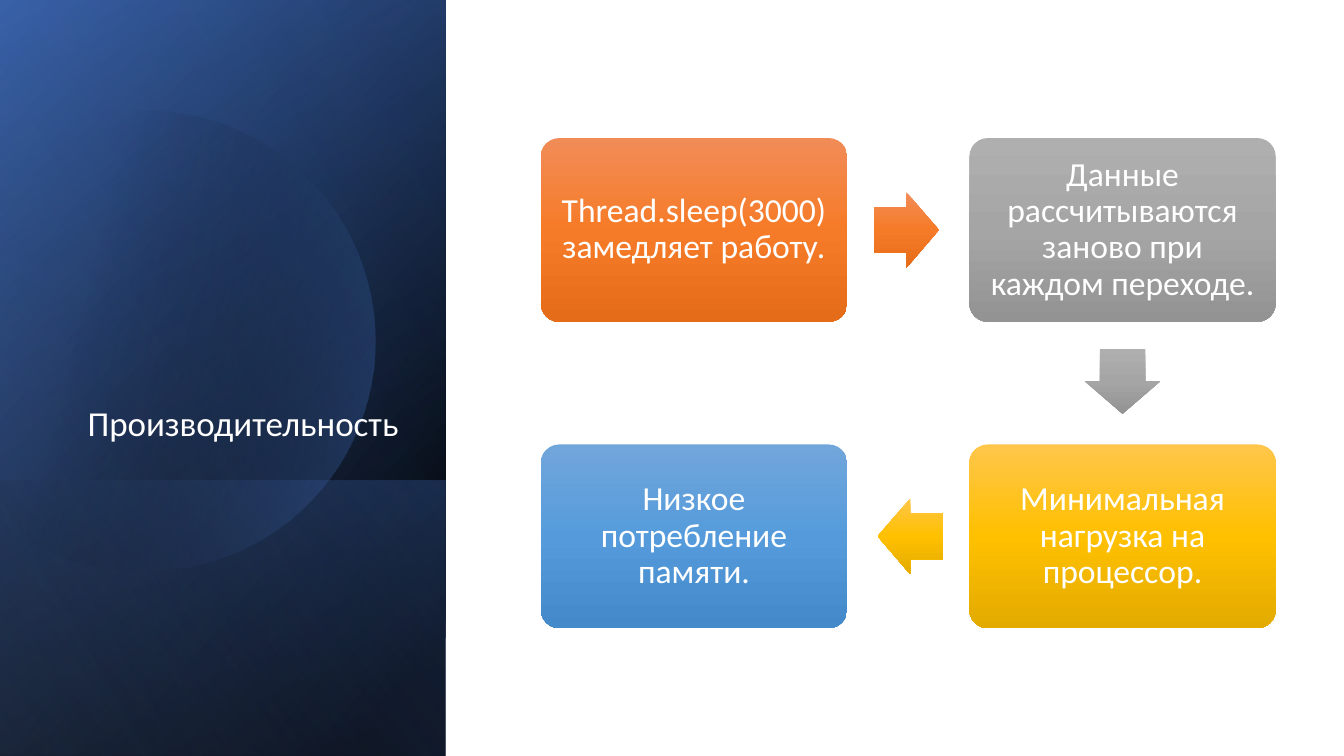
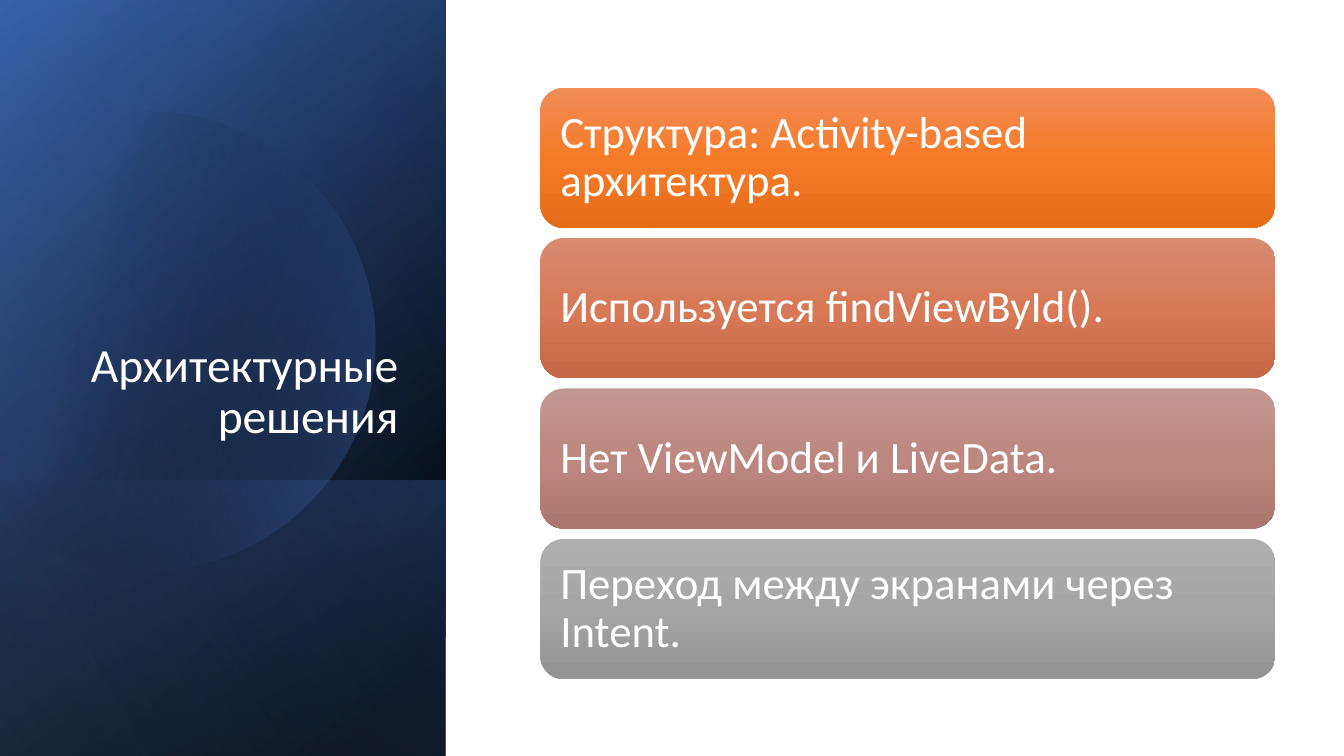
from dataclasses import dataclass
from typing import NamedTuple

from lxml.etree import SubElement
from pptx import Presentation
from pptx.dml.color import RGBColor
from pptx.enum.shapes import MSO_SHAPE
from pptx.enum.text import MSO_ANCHOR, PP_ALIGN
from pptx.oxml.ns import qn
from pptx.shapes.autoshape import Shape
from pptx.slide import Slide
from pptx.util import Cm, Pt


class Stop(NamedTuple):
    position: int
    color: str
    opacity: int = 100


class Gradient(NamedTuple):
    stops: tuple[Stop, ...]
    angle: int = 90


class Area(NamedTuple):
    left: float
    top: float
    width: float
    height: float

    @property
    def center(self) -> tuple[float, float]:
        return self.left + self.width / 2, self.top + self.height / 2


def shaded(light: str, middle: str, dark: str) -> Gradient:
    return Gradient((Stop(0, light), Stop(50, middle), Stop(100, dark)))


@dataclass(frozen=True)
class Theme:
    font: str = "Calibri"
    text_color: str = "FFFFFF"
    box_size: int = 24
    bar_size: int = 32
    line_spacing: float = 0.9
    orange: Gradient = shaded("F18C57", "F67B28", "E56C19")
    terracotta: Gradient = shaded("D78B72", "D77956", "C66846")
    rose: Gradient = shaded("C19791", "BC8880", "AA766E")
    gray: Gradient = shaded("AFAFAF", "A5A5A5", "939393")
    gold: Gradient = shaded("FFC64B", "FFC000", "E3AB00")
    blue: Gradient = shaded("71A6DB", "559BDB", "448ACA")
    panel_base: Gradient = Gradient((Stop(8, "000000"), Stop(100, "2F5597")), 50)
    panel_glow: Gradient = Gradient((Stop(0, "000000", 0), Stop(99, "4472C4", 46)), 30)
    panel_foot: Gradient = Gradient((Stop(2, "4472C4", 29), Stop(100, "000000", 30)), 130)
    panel_disc: Gradient = Gradient((Stop(29, "000000", 0), Stop(100, "4472C4", 43)), 14)
    panel_veil: Gradient = Gradient((Stop(0, "000000", 0), Stop(99, "8FAADC", 11)), 120)


@dataclass(frozen=True)
class Step:
    text: str
    fill: Gradient
    column: int
    row: int

    @property
    def area(self) -> Area:
        return Area(13.63 + 10.8 * self.column, 3.48 + 7.72 * self.row, 7.72, 4.63)


@dataclass(frozen=True)
class Bar:
    text: str
    fill: Gradient


THEME = Theme()
PANEL = Area(0, 0, 11.23, 19.05)
PANEL_FOOT = Area(0, 12.1, 11.23, 6.95)
TITLE = Area(1.63, 4.67, 8.66, 6.65)
DISC_START = (3.78, 2.79)
DISC_CURVES = (
    ((6.25, 2.84), (8.51, 4.5), (9.22, 6.99)),
    ((10.11, 10.08), (8.33, 13.28), (5.26, 14.17)),
    ((3.33, 14.73), (1.35, 14.25), (-0.08, 13.06)),
    ((-0.38, 12.78),),
    ((-0.38, 4.45),),
    ((0, 4.09),),
    ((0.58, 3.61), (1.27, 3.25), (2.03, 3.02)),
    ((2.62, 2.87), (3.2, 2.79), DISC_START),
)
CURVE_PARTS = 24
ARROW_LENGTH, ARROW_BREADTH, ARROW_SHIFT = 1.64, 1.91, 0.05
ARROW_SHAPES = {
    (1, 0): MSO_SHAPE.RIGHT_ARROW,
    (0, 1): MSO_SHAPE.DOWN_ARROW,
    (-1, 0): MSO_SHAPE.LEFT_ARROW,
}

STEPS = (
    Step("Thread.sleep(3000) замедляет работу.", THEME.orange, 0, 0),
    Step("Данные рассчитываются заново при каждом переходе.", THEME.gray, 1, 0),
    Step("Минимальная нагрузка на процессор.", THEME.gold, 1, 1),
    Step("Низкое потребление памяти.", THEME.blue, 0, 1),
)
BARS = (
    Bar("Структура: Activity-based архитектура.", THEME.orange),
    Bar("Используется findViewById().", THEME.terracotta),
    Bar("Нет ViewModel и LiveData.", THEME.rose),
    Bar("Переход между экранами через Intent.", THEME.gray),
)


def paint(shape: Shape, gradient: Gradient) -> None:
    shape.shadow.inherit = False
    shape.line.fill.background()
    shape.fill.gradient()
    gradient_fill = shape.element.spPr.find(qn("a:gradFill"))
    stop_list = gradient_fill.find(qn("a:gsLst"))
    for old_stop in list(stop_list):
        stop_list.remove(old_stop)
    for stop in gradient.stops:
        stop_element = SubElement(stop_list, qn("a:gs"), pos=str(stop.position * 1000))
        color = SubElement(stop_element, qn("a:srgbClr"), val=stop.color)
        if stop.opacity < 100:
            SubElement(color, qn("a:alpha"), val=str(stop.opacity * 1000))
    gradient_fill.find(qn("a:lin")).set("ang", str(gradient.angle * 60000))


def add_filled(slide: Slide, kind: MSO_SHAPE, area: Area, gradient: Gradient) -> Shape:
    shape = slide.shapes.add_shape(kind, *(Cm(length) for length in area))
    paint(shape, gradient)
    return shape


def write_text(
    shape: Shape,
    text: str,
    *,
    size: int,
    alignment: PP_ALIGN = PP_ALIGN.LEFT,
    anchor: MSO_ANCHOR = MSO_ANCHOR.MIDDLE,
    inset: float = 0.25,
    vertical_inset: float = 0.25,
) -> None:
    frame = shape.text_frame
    frame.word_wrap = True
    frame.vertical_anchor = anchor
    frame.margin_left = frame.margin_right = Cm(inset)
    frame.margin_top = frame.margin_bottom = Cm(vertical_inset)
    paragraph = frame.paragraphs[0]
    paragraph.alignment = alignment
    paragraph.line_spacing = THEME.line_spacing
    run = paragraph.add_run()
    run.text = text
    run.font.name = THEME.font
    run.font.size = Pt(size)
    run.font.color.rgb = RGBColor.from_string(THEME.text_color)


def add_turned_layer(slide: Slide, area: Area, gradient: Gradient) -> None:
    center_x, center_y = area.center
    frame = Area(
        center_x - area.height / 2, center_y - area.width / 2, area.height, area.width
    )
    shape = add_filled(slide, MSO_SHAPE.RECTANGLE, frame, gradient)
    shape.rotation = 90
    shape.element.spPr.xfrm.set("flipH", "1")


def curve_point(controls: tuple, ratio: float) -> tuple[float, float]:
    points = controls
    while len(points) > 1:
        points = tuple(
            (x1 + (x2 - x1) * ratio, y1 + (y2 - y1) * ratio)
            for (x1, y1), (x2, y2) in zip(points, points[1:])
        )
    return points[0]


def add_disc(slide: Slide) -> None:
    outline = []
    current = DISC_START
    for curve in DISC_CURVES:
        parts = CURVE_PARTS if len(curve) > 1 else 1
        controls = (current, *curve)
        outline += [curve_point(controls, part / parts) for part in range(1, parts + 1)]
        current = curve[-1]
    builder = slide.shapes.build_freeform(*(Cm(value) for value in DISC_START))
    builder.add_line_segments([(Cm(x), Cm(y)) for x, y in outline], close=True)
    paint(builder.convert_to_shape(), THEME.panel_disc)


def add_titled_slide(presentation: Presentation, title: str, title_size: int) -> Slide:
    slide = presentation.slides.add_slide(presentation.slide_layouts[6])
    add_turned_layer(slide, PANEL, THEME.panel_base)
    add_turned_layer(slide, PANEL, THEME.panel_glow)
    add_turned_layer(slide, PANEL_FOOT, THEME.panel_foot)
    add_disc(slide)
    add_turned_layer(slide, PANEL, THEME.panel_veil)
    title_box = slide.shapes.add_textbox(*(Cm(length) for length in TITLE))
    write_text(
        title_box,
        title,
        size=title_size,
        alignment=PP_ALIGN.RIGHT,
        anchor=MSO_ANCHOR.BOTTOM,
        vertical_inset=0.13,
    )
    return slide


def add_arrow(slide: Slide, source: Step, target: Step) -> None:
    direction = (target.column - source.column, target.row - source.row)
    center_x, center_y = (
        (start + end) / 2 - ARROW_SHIFT * sign
        for start, end, sign in zip(source.area.center, target.area.center, direction)
    )
    width, height = ARROW_LENGTH, ARROW_BREADTH
    if direction[1]:
        width, height = height, width
    area = Area(center_x - width / 2, center_y - height / 2, width, height)
    arrow = add_filled(slide, ARROW_SHAPES[direction], area, source.fill)
    arrow.adjustments[0] = 0.6
    arrow.adjustments[1] = 0.5


def add_performance_slide(presentation: Presentation) -> None:
    slide = add_titled_slide(presentation, "Производительность", 25)
    for step in STEPS:
        box = add_filled(slide, MSO_SHAPE.ROUNDED_RECTANGLE, step.area, step.fill)
        box.adjustments[0] = 0.1
        write_text(box, step.text, size=THEME.box_size, alignment=PP_ALIGN.CENTER)
    for source, target in zip(STEPS, STEPS[1:]):
        add_arrow(slide, source, target)


def add_architecture_slide(presentation: Presentation) -> None:
    slide = add_titled_slide(presentation, "Архитектурные решения", 34)
    for index, bar in enumerate(BARS):
        area = Area(13.62, 2.21 + 3.79 * index, 18.52, 3.53)
        shape = add_filled(slide, MSO_SHAPE.ROUNDED_RECTANGLE, area, bar.fill)
        write_text(
            shape, bar.text, size=THEME.bar_size, inset=0.33, vertical_inset=0.33
        )


def main() -> None:
    presentation = Presentation()
    presentation.slide_width = Cm(33.87)
    presentation.slide_height = Cm(19.05)
    add_performance_slide(presentation)
    add_architecture_slide(presentation)
    presentation.save("out.pptx")


if __name__ == "__main__":
    main()
